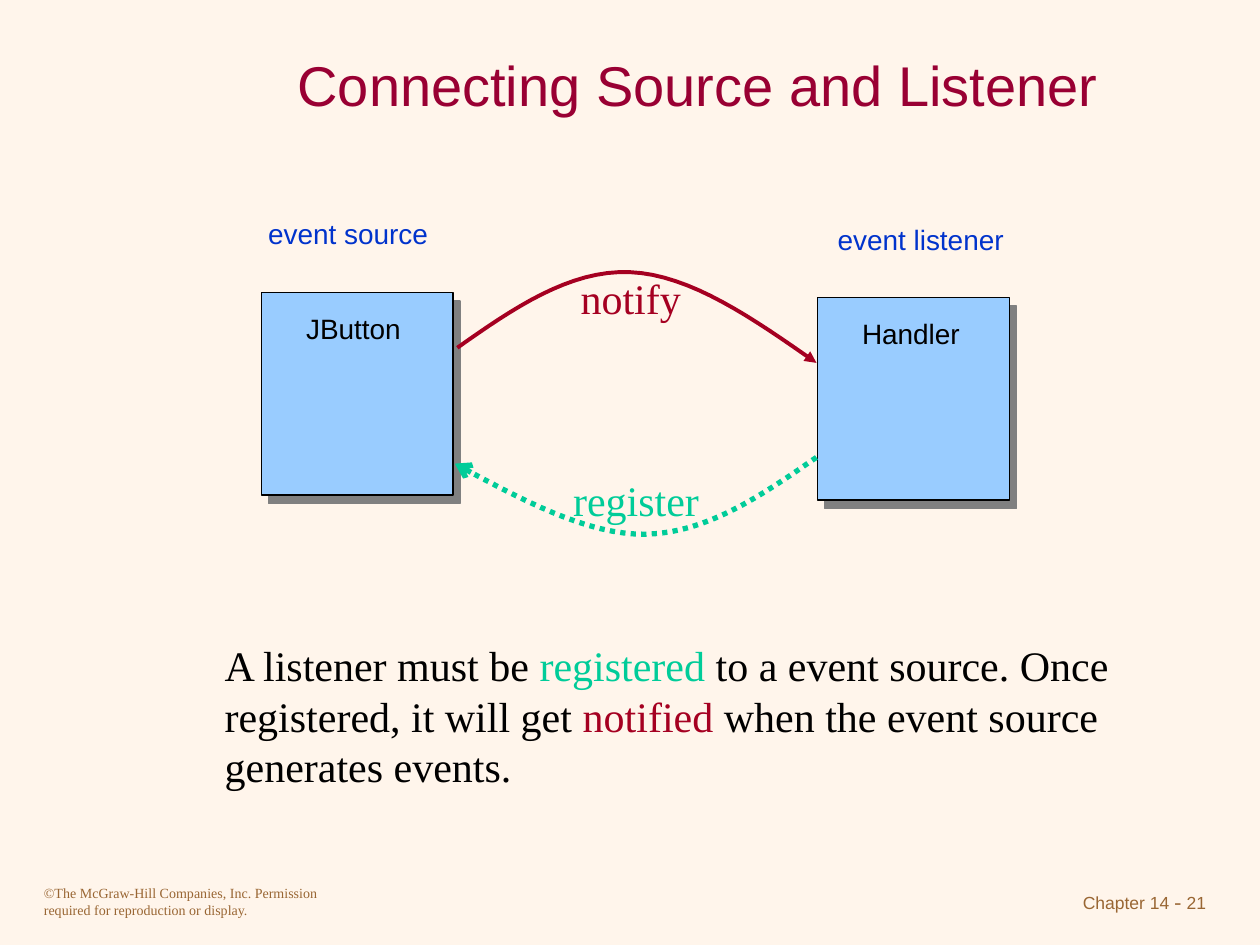
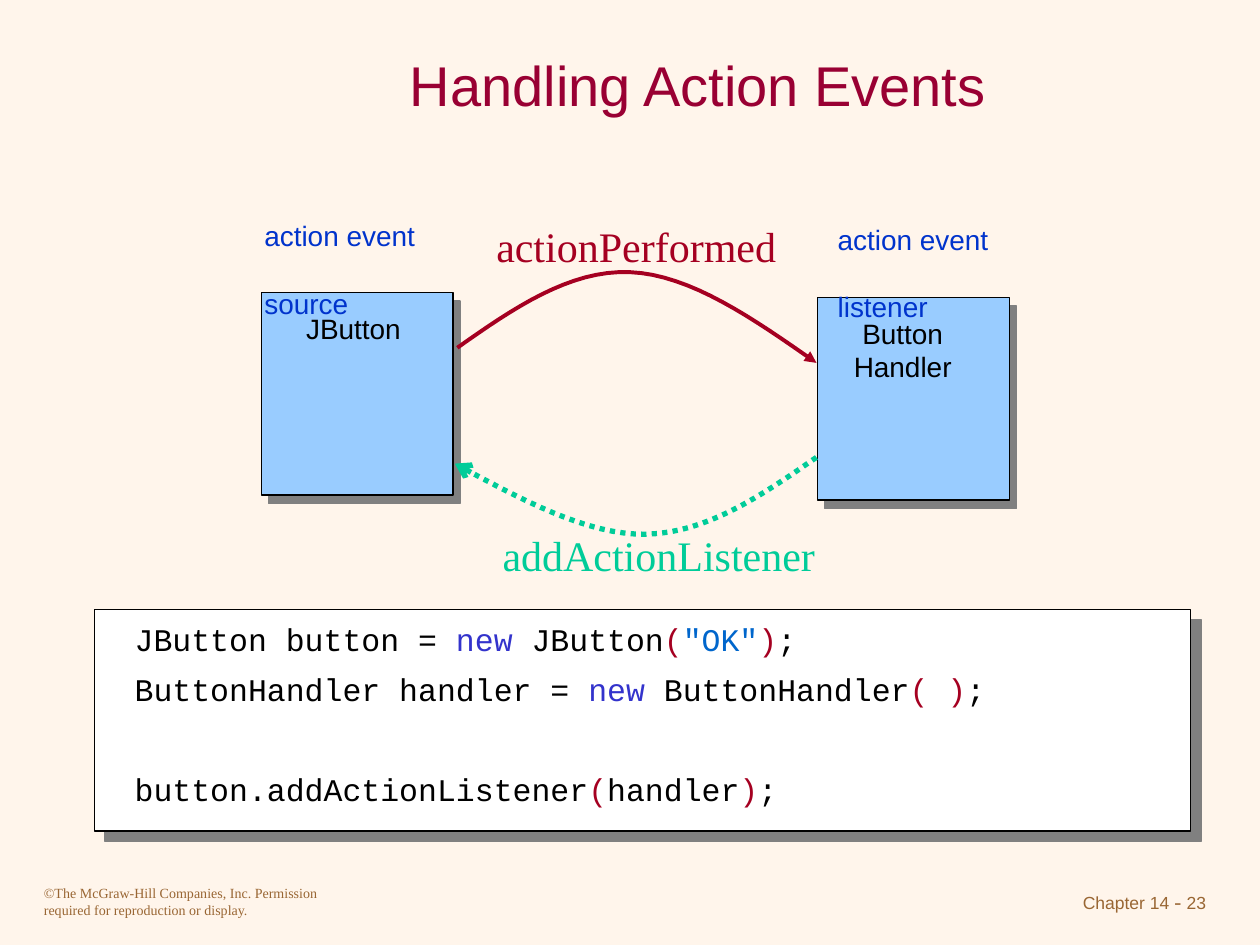
import pptx
import pptx.dml.color
import pptx.enum.dml
import pptx.enum.shapes
import pptx.enum.text
import pptx.oxml.ns
import pptx.util
from lxml import etree

# Shared style
COLOURS = {
    "background": "FFF5EB", "title": "990033", "footer": "996633",
    "text": "000000", "role": "0033CC", "box": "99CCFF", "panel": "FFFFFF",
    "shadow": "808080", "notify": "A50021", "register": "00CC99",
    "keyword": "3333CC", "string": "0066CC",
}
SANS, SERIF, MONO = "Arial", "Times New Roman", "Courier New"
COLUMNS, ROWS = 100, 75
ALIGN = pptx.enum.text.PP_ALIGN
ANCHOR = pptx.enum.text.MSO_ANCHOR
DOTTED = pptx.enum.dml.MSO_LINE.ROUND_DOT

# Curves as a start point followed by cubic segments, in columns and rows
NOTIFY_CURVE = [(36.3, 27.6), (40.7, 24.5), (45.2, 21.4), (50, 21.6),
                (54.8, 21.8), (59.8, 25.3), (64.8, 28.8)]
REGISTER_CURVE = [(64.8, 36.3), (60.5, 39.3), (56.1, 42.3), (51.3, 42.4),
                  (46.6, 42.5), (41.3, 39.6), (36.1, 36.8)]


def rgb(name):
    return pptx.dml.color.RGBColor.from_string(COLOURS[name])


def add_element(parent, tag, **attributes):
    element = etree.SubElement(parent, pptx.oxml.ns.qn(tag))
    for name, value in attributes.items():
        element.set(name, str(value))
    return element


def curve_points(controls, steps=16):
    """Return the points along a chain of cubic segments."""
    points = [controls[0]]
    for first in range(0, len(controls) - 1, 3):
        segment = controls[first:first + 4]
        for step in range(1, steps + 1):
            t = step / steps
            weights = ((1 - t) ** 3, 3 * t * (1 - t) ** 2,
                       3 * t ** 2 * (1 - t), t ** 3)
            points.append(tuple(
                sum(weight * point[axis]
                    for weight, point in zip(weights, segment))
                for axis in (0, 1)))
    return points


class Deck:
    def __init__(self):
        self.presentation = pptx.Presentation()
        self.presentation.slide_width = pptx.util.Inches(10)
        self.presentation.slide_height = pptx.util.Inches(7.5)
        self.slide = None

    def x(self, columns):
        return round(self.presentation.slide_width * columns / COLUMNS)

    def y(self, rows):
        return round(self.presentation.slide_height * rows / ROWS)

    def area(self, left, top, width, height):
        return self.x(left), self.y(top), self.x(width), self.y(height)

    def text(self, paragraphs, area, *, font=SANS, size=16, colour="text",
             align=ALIGN.LEFT, anchor=ANCHOR.TOP, line_spacing=None, gaps=()):
        """Write paragraphs; each is a string or a list of runs.

        A run is a string or a pair of a string and its own format.
        gaps holds the space before each paragraph after the first.
        """
        frame = self.slide.shapes.add_textbox(*self.area(*area)).text_frame
        frame.word_wrap = True
        frame.vertical_anchor = anchor
        if isinstance(paragraphs, str):
            paragraphs = [paragraphs]
        for index, runs in enumerate(paragraphs):
            paragraph = frame.add_paragraph() if index else frame.paragraphs[0]
            paragraph.alignment = align
            if line_spacing:
                paragraph.line_spacing = line_spacing
            if index and gaps:
                paragraph.space_before = pptx.util.Pt(gaps[index - 1])
            for item in [runs] if isinstance(runs, str) else runs:
                content, own = (item, {}) if isinstance(item, str) else item
                run = paragraph.add_run()
                run.text = content
                run.font.name = own.get("font", font)
                run.font.size = pptx.util.Pt(own.get("size", size))
                run.font.color.rgb = rgb(own.get("colour", colour))

    def box(self, area, fill, distance, angle):
        """Draw an outlined rectangle with a hard shadow."""
        shape = self.slide.shapes.add_shape(
            pptx.enum.shapes.MSO_SHAPE.RECTANGLE, *self.area(*area))
        shape.fill.solid()
        shape.fill.fore_color.rgb = rgb(fill)
        shape.line.color.rgb = rgb("text")
        shape.line.width = pptx.util.Pt(0.75)
        shape.shadow.inherit = False
        effects = shape.element.spPr.find(pptx.oxml.ns.qn("a:effectLst"))
        shadow = add_element(effects, "a:outerShdw", blurRad=0,
                             dist=pptx.util.Pt(distance), dir=angle * 60000,
                             algn="ctr", rotWithShape=0)
        add_element(shadow, "a:srgbClr", val=COLOURS["shadow"])

    def arrow(self, controls, colour, width, head, dash=None):
        points = [(self.x(column), self.y(row))
                  for column, row in curve_points(controls)]
        builder = self.slide.shapes.build_freeform(*points[0])
        builder.add_line_segments(points[1:], close=False)
        shape = builder.convert_to_shape()
        shape.shadow.inherit = False
        shape.fill.background()
        shape.line.color.rgb = rgb(colour)
        shape.line.width = pptx.util.Pt(width)
        if dash:
            shape.line.dash_style = dash
        line = shape.element.spPr.find(pptx.oxml.ns.qn("a:ln"))
        add_element(line, "a:tailEnd", type=head)

    def start_slide(self, title, number):
        layout = self.presentation.slide_layouts[6]
        self.slide = self.presentation.slides.add_slide(layout)
        background = self.slide.background.fill
        background.solid()
        background.fore_color.rgb = rgb("background")
        self.text("©The McGraw-Hill Companies, Inc. Permission required "
                  "for reproduction or display.", (2.5, 69.7, 25, 3.7),
                  font=SERIF, size=8, colour="footer")
        self.text([["Chapter 14", (" - ", {"font": SERIF, "size": 12}),
                    number]], (75, 70, 21.7, 3.4), size=10,
                  colour="footer", align=ALIGN.RIGHT)
        self.text(title, (15, 2.5, 80.8, 8.3), size=32, colour="title",
                  align=ALIGN.CENTER, anchor=ANCHOR.MIDDLE)

    def participant(self, left, top, name, name_centre, role, role_at):
        """Draw a class box with its name and its role above it."""
        self.box((left, top, 15.2, 16.1), "box", 6.4, 51)
        self.text(name, (name_centre - 7, top + 1, 14, 3.7 * len(name)),
                  align=ALIGN.CENTER)
        self.text(role, (*role_at, 17.6, 3.7), colour="role", gaps=[19.5])

    def exchange(self, notify, notify_area, register, register_area):
        """Draw the two arrows between the participants with their labels."""
        label = {"font": SERIF, "size": 24}
        self.arrow(NOTIFY_CURVE, "notify", 2.25, "triangle")
        self.text(notify, notify_area, colour="notify", **label)
        self.arrow(REGISTER_CURVE, "register", 3, "arrow", DOTTED)
        self.text(register, register_area, colour="register", **label)


def coloured(text, colour):
    return text, {"colour": colour}


def build_connecting(deck):
    deck.start_slide("Connecting Source and Listener", "21")
    deck.participant(20.75, 23.2, ["JButton"], 28.05, "event source",
                     (20.3, 16.7))
    deck.participant(64.9, 23.6, ["Handler"], 72.3, "event listener",
                     (65.5, 17.15))
    deck.exchange("notify", (45.1, 21.1, 11, 5),
                  "register", (44.5, 37.2, 13, 5))
    deck.text([
        ["A listener must be ", coloured("registered", "register"),
         " to a event source. Once"],
        ["registered, it will get ", coloured("notified", "notify"),
         " when the event source"],
        "generates events.",
    ], (16.85, 50.3, 75, 13), font=SERIF, size=24)


def build_handling(deck):
    deck.start_slide("Handling Action Events", "23")
    deck.participant(20.75, 23.2, ["JButton"], 28.05,
                     ["action event", "source"], (20, 16.85))
    deck.participant(64.9, 23.6, ["Button", "Handler"], 71.65,
                     ["action event", "listener"], (65.5, 17.15))
    deck.exchange("actionPerformed", (38.4, 17, 25.5, 5),
                  "addActionListener", (38.9, 41.5, 28, 5))

    # Code panel
    new = coloured("new", "keyword")
    opening, closing = coloured("(", "notify"), coloured(")", "notify")
    deck.box((7.5, 48.35, 87, 17.6), "panel", 8.5, 45)
    deck.text([
        ["JButton button = ", new, " JButton", opening,
         coloured('"OK"', "string"), closing, ";"],
        ["ButtonHandler handler = ", new, " ButtonHandler",
         coloured("( )", "notify"), ";"],
        ["button.addActionListener", opening, "handler", closing, ";"],
    ], (9.7, 49.3, 83.8, 15.3), font=MONO, size=18, line_spacing=0.8,
        gaps=[11.2, 40])


def main():
    deck = Deck()
    build_connecting(deck)
    build_handling(deck)
    deck.presentation.save("out.pptx")


if __name__ == "__main__":
    main()
